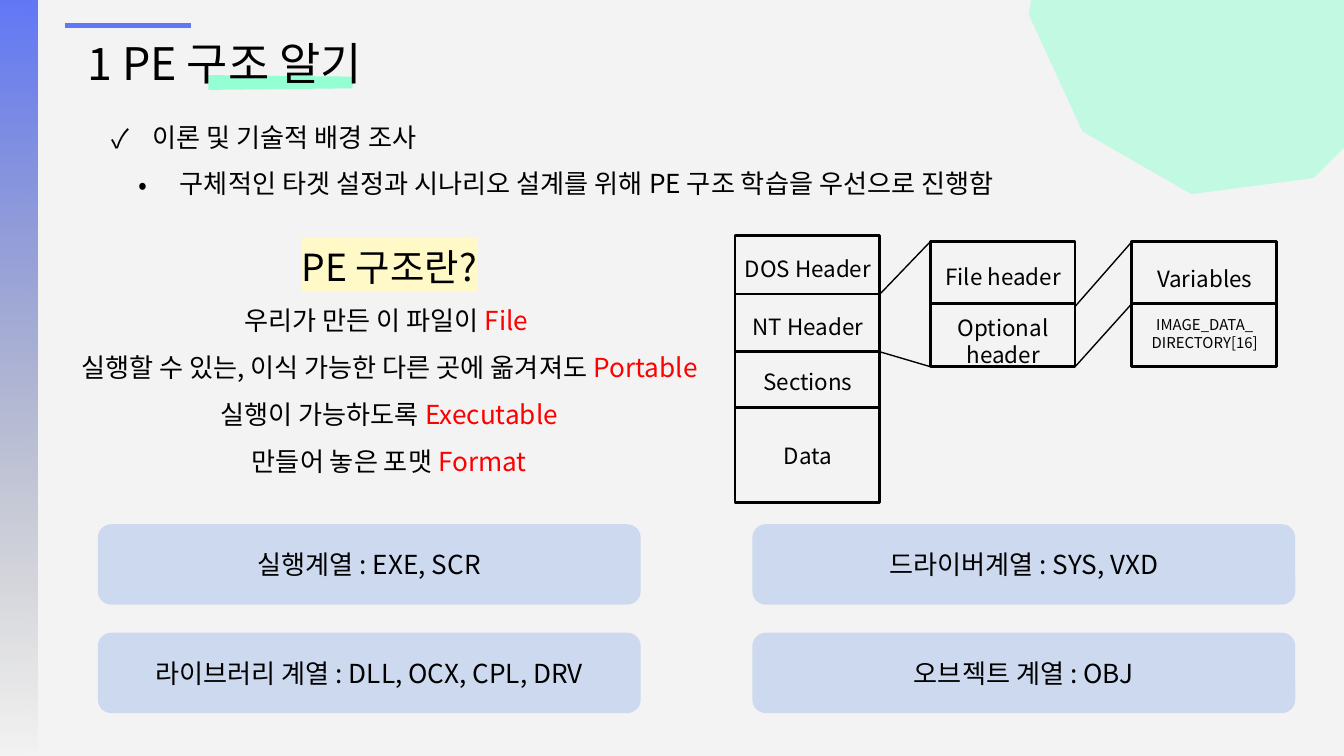
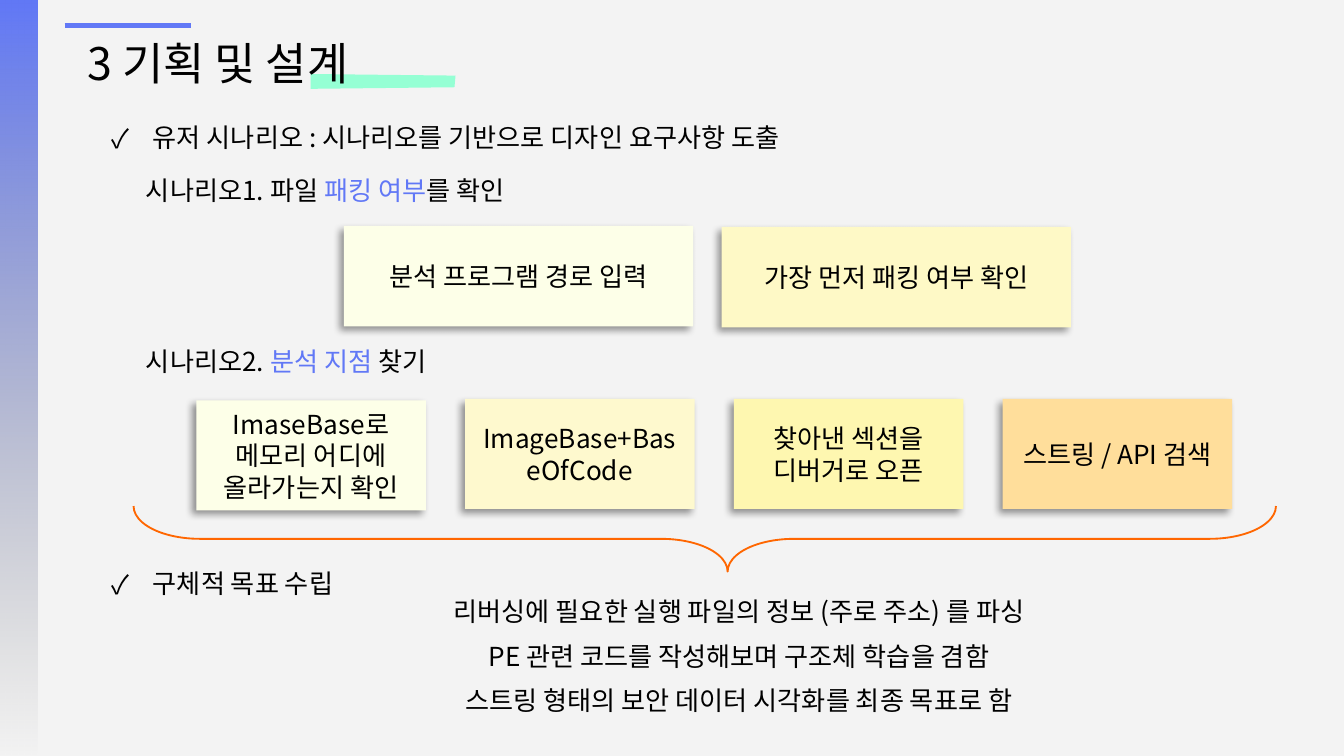
from dataclasses import dataclass

from lxml import etree
from pptx import Presentation
from pptx.dml.color import RGBColor
from pptx.enum.shapes import MSO_CONNECTOR, MSO_SHAPE as Preset
from pptx.enum.text import MSO_ANCHOR as Anchor, MSO_AUTO_SIZE as AutoSize, PP_ALIGN as Align
from pptx.oxml.ns import qn
from pptx.util import Cm, Pt


@dataclass(frozen=True)
class Theme:
    font: str = "Noto Sans CJK KR"
    ground: str = "F3F3F3"
    ink: str = "000000"
    accent: str = "6178F6"
    fade: str = "737373"
    mint: str = "95FFD4"
    card: str = "CDD9EF"
    red: str = "FF0000"
    orange: str = "FF6600"
    ivory: str = "FDFFE8"
    cream: str = "FEF9C6"
    vanilla: str = "FEF9CE"
    lemon: str = "FEF7B0"
    apricot: str = "FFDE9B"
    title: int = 24
    heading: int = 20
    body: int = 14
    label: int = 12
    small: int = 8


THEME = Theme()


def rgb(value):
    return RGBColor.from_string(value)


def add_node(parent, tag, **attributes):
    return etree.SubElement(parent, qn(tag), {key: str(value) for key, value in attributes.items()})


def set_alpha(color_node, percent):
    add_node(color_node, "a:alpha", val=percent * 1000)


def format_span(span, size, color, highlight=None):
    font = span.font
    font.size = Pt(size)
    font.color.rgb = rgb(color)
    font.name = THEME.font
    latin = span._r.rPr.find(qn("a:latin"))
    east_asian = etree.Element(qn("a:ea"), typeface=THEME.font)
    latin.addnext(east_asian)
    if highlight:
        marker = etree.Element(qn("a:highlight"))
        add_node(marker, "a:srgbClr", val=highlight)
        latin.addprevious(marker)


def write(frame, lines, size=THEME.body, color=THEME.ink, align=Align.LEFT, spacing=None,
          indent=0, hanging=0, bullet=None, anchor=Anchor.TOP, auto_size=AutoSize.NONE):
    frame.word_wrap = True
    frame.auto_size = auto_size
    frame.vertical_anchor = anchor
    for index, line in enumerate([lines] if isinstance(lines, str) else lines):
        para = frame.paragraphs[0] if index == 0 else frame.add_paragraph()
        para.alignment = align
        if spacing:
            para.line_spacing = spacing
        properties = para._p.get_or_add_pPr()
        properties.set("marL", str(Cm(indent)))
        properties.set("indent", str(-Cm(hanging)))
        if bullet:
            add_node(add_node(properties, "a:buClr"), "a:srgbClr", val=color)
            add_node(properties, "a:buFont", typeface=THEME.font)
            add_node(properties, "a:buChar", char=bullet)
        for text, changes in [(line, {})] if isinstance(line, str) else line:
            span = para.add_run()
            span.text = text
            format_span(span, **{"size": size, "color": color, **changes})


class SlideBuilder:
    def __init__(self, deck, theme):
        self.deck = deck
        self.theme = theme
        self.layout = deck.slide_layouts.get_by_name("Title Only")
        self.page = None
        deck.slide_master.background.fill.solid()
        deck.slide_master.background.fill.fore_color.rgb = rgb(theme.ground)

    def start(self, title, marker_left, marker_top):
        first = self.page is None
        self.page = self.deck.slides.add_slide(self.layout)
        if first:
            self.decorate_layout()
        box = self.page.shapes.title
        box.left, box.top, box.width, box.height = Cm(1.4), Cm(0.36), Cm(12.37), Cm(1.65)
        frame = box.text_frame
        frame.margin_left = frame.margin_right = frame.margin_top = frame.margin_bottom = Cm(0.25)
        write(frame, title, size=self.theme.title, anchor=Anchor.MIDDLE)
        box.element.addprevious(self.marker(marker_left, marker_top).element)

    def decorate_layout(self):
        band = self.shape(Preset.RECTANGLE, 0, 0, 0.71, 14.29)
        band.fill.gradient()
        band.fill.gradient_angle = 270
        for stop, color in zip(band.fill.gradient_stops, (self.theme.accent, self.theme.fade)):
            stop.color.rgb = rgb(color)
        set_alpha(band.element.xpath(".//a:gsLst//a:srgbClr")[-1], 0)
        rule = self.line((1.22, 0.48), (3.61, 0.48), self.theme.accent, 3)
        for part in (rule, band):
            self.layout.shapes.element.append(part.element)

    def marker(self, left, top):
        points = [(Cm(left + x), Cm(top + y)) for x, y in ((0, 0), (0, 0.28), (2.72, 0.25), (2.74, 0.03))]
        outline = self.page.shapes.build_freeform(*points[0])
        outline.add_line_segments(points[1:], close=True)
        return self.paint(outline.convert_to_shape(), fill=self.theme.mint)

    def paint(self, shape, fill=None, line=None, weight=1.0):
        shape.shadow.inherit = False
        if fill:
            shape.fill.solid()
            shape.fill.fore_color.rgb = rgb(fill)
        else:
            shape.fill.background()
        if line:
            shape.line.color.rgb = rgb(line)
            shape.line.width = Pt(weight)
        else:
            shape.line.fill.background()
        return shape

    def shape(self, preset, left, top, width, height, text=None, **look):
        shape = self.page.shapes.add_shape(preset, Cm(left), Cm(top), Cm(width), Cm(height))
        self.paint(shape, **look)
        if text:
            write(shape.text_frame, text, align=Align.CENTER, anchor=Anchor.MIDDLE)
        return shape

    def note(self, left, top, width, height, text, fill):
        note = self.shape(Preset.RECTANGLE, left, top, width, height, text, fill=fill)
        effects = note.element.spPr.find(qn("a:effectLst"))
        shadow = add_node(effects, "a:outerShdw", blurRad=Pt(4), dist=Pt(3), dir=135 * 60000,
                          algn="tr", rotWithShape=0)
        set_alpha(add_node(shadow, "a:srgbClr", val=self.theme.ink), 40)

    def line(self, start, end, color=THEME.ink, weight=1.5):
        line = self.page.shapes.add_connector(MSO_CONNECTOR.STRAIGHT, *map(Cm, start + end))
        line.line.color.rgb = rgb(color)
        line.line.width = Pt(weight)
        add_node(line.element.spPr, "a:effectLst")
        return line

    def text(self, left, top, width, height, lines, **style):
        box = self.page.shapes.add_textbox(Cm(left), Cm(top), Cm(width), Cm(height))
        write(box.text_frame, lines, auto_size=AutoSize.SHAPE_TO_FIT_TEXT, **style)

    def check(self, top, width, text):
        self.text(1.85, top, width, 1.07, text, bullet="✓", indent=0.79, hanging=0.79, spacing=1.5)


def draw_header_diagram(slide):
    width = 2.74
    dos, nt, variables = 13.89, 17.58, 21.39
    columns = (
        (dos, 4.45, 5.05, (5.56, 6.65, 7.7)),
        (nt, 4.57, 2.36, (5.74,)),
        (variables, 4.57, 2.36, (5.74,)),
    )
    for left, top, height, dividers in columns:
        slide.shape(Preset.RECTANGLE, left, top, width, height, line=THEME.ink, weight=1.5)
        for divider in dividers:
            slide.line((left, divider), (left + width, divider))
    links = (
        (dos, 5.56, nt, 4.57), (dos, 6.65, nt, 6.93),
        (nt, 5.79, variables, 4.57), (nt, 6.93, variables, 5.74),
    )
    for source, start, target, end in links:
        slide.line((source + width, start), (target, end), weight=0.75)
    labels = (
        (dos, 4.7, 0.74, "DOS Header"), (dos, 5.79, 0.74, "NT Header"),
        (dos, 6.83, 0.74, "Sections"), (dos, 8.23, 0.74, "Data"),
        (nt, 4.85, 0.74, "File header"), (nt, 5.82, 1.22, "Optional header"),
        (variables, 4.88, 0.74, "Variables"),
    )
    for left, top, height, text in labels:
        slide.text(left - 0.12, top, 3, height, text, size=THEME.label, align=Align.CENTER)
    slide.text(variables - 0.12, 5.84, 3, 0.89, ["IMAGE_DATA_", "DIRECTORY[16]"],
               size=THEME.small, align=Align.CENTER)


def build_structure(slide):
    slide.start("1 PE 구조 알기", 3.94, 1.42)
    decagon = slide.shape(Preset.DECAGON, 19.41, -3.99, 7.54, 7.54, fill=THEME.mint)
    decagon.rotation = 352.5
    set_alpha(decagon.element.xpath("./p:spPr//a:srgbClr")[0], 53)
    draw_header_diagram(slide)
    slide.text(-1.45, 2.74, 20.6, 1.07,
               "구체적인 타겟 설정과 시나리오 설계를 위해 PE 구조 학습을 우선으로 진행함",
               align=Align.JUSTIFY, bullet="•", indent=4.6, hanging=0.79, spacing=1.5)
    slide.check(1.88, 10.85, "이론 및 기술적 배경 조사")
    meanings = (
        ("우리가 만든 이 파일이 ", "File "),
        ("실행할 수 있는, 이식 가능한 다른 곳에 옮겨져도 ", "Portable"),
        ("실행이 가능하도록 ", "Executable"),
        ("만들어 놓은 포맷 ", "Format"),
    )
    question = [("PE 구조란?", {"size": THEME.heading, "highlight": THEME.cream})]
    answers = [[(korean, {}), (term, {"color": THEME.red})] for korean, term in meanings]
    slide.text(-1.96, 4.06, 18.64, 5.05, [question, *answers], align=Align.CENTER, spacing=1.5)
    families = (
        ("실행계열 : EXE, SCR", "드라이버계열 : SYS, VXD"),
        ("라이브러리 계열 : DLL, OCX, CPL, DRV", "오브젝트 계열 : OBJ"),
    )
    for row, names in enumerate(families):
        for column, name in enumerate(names):
            slide.shape(Preset.ROUNDED_RECTANGLE, 1.85 + 12.37 * column, 9.91 + 2.05 * row,
                        10.26, 1.52, name, fill=THEME.card)


def build_plan(slide):
    slide.start("3 기획 및 설계", 5.87, 1.4)
    slide.check(1.88, 14.73, "유저 시나리오 : 시나리오를 기반으로 디자인 요구사항 도출")
    scenarios = (
        (3.18, "시나리오1. 파일 ", "패킹 여부", "를 확인"),
        (6.4, "시나리오2. ", "분석 지점 ", "찾기"),
    )
    for top, lead, focus, tail in scenarios:
        slide.text(2.51, top, 7.98, 0.86, [[(lead, {}), (focus, {"color": THEME.accent}), (tail, {})]])
    slide.note(6.5, 4.27, 6.6, 1.9, "분석 프로그램 경로 입력", THEME.ivory)
    slide.note(13.64, 4.29, 6.6, 1.9, "가장 먼저 패킹 여부 확인", THEME.cream)
    steps = (
        (7.57, "ImaseBase로 메모리 어디에 올라가는지 확인", THEME.ivory),
        (7.54, "ImageBase+BaseOfCode", THEME.vanilla),
        (7.54, "찾아낸 섹션을 디버거로 오픈", THEME.lemon),
        (7.54, "스트링 / API 검색", THEME.apricot),
    )
    for index, (top, text, fill) in enumerate(steps):
        slide.note(3.71 + 5.08 * index, top, 4.34, 2.08, text, fill)
    slide.check(10.31, 10.85, "구체적 목표 수립")
    goals = [
        "리버싱에 필요한 실행 파일의 정보 (주로 주소) 를 파싱",
        "PE 관련 코드를 작성해보며 구조체 학습을 겸함",
        "스트링 형태의 보안 데이터 시각화를 최종 목표로 함",
    ]
    slide.text(3.38, 10.87, 17.37, 2.74, goals, align=Align.CENTER, indent=3.81, spacing=Pt(24))
    brace = slide.shape(Preset.LEFT_BRACE, 12.7, -0.61, 1.24, 21.59, line=THEME.orange)
    brace.rotation = 270
    brace.adjustments[0] = 1.01
    brace.adjustments[1] = 0.52


def main():
    deck = Presentation()
    deck.slide_width, deck.slide_height = Cm(25.4), Cm(14.29)
    slide = SlideBuilder(deck, THEME)
    build_structure(slide)
    build_plan(slide)
    deck.save("out.pptx")


if __name__ == "__main__":
    main()
